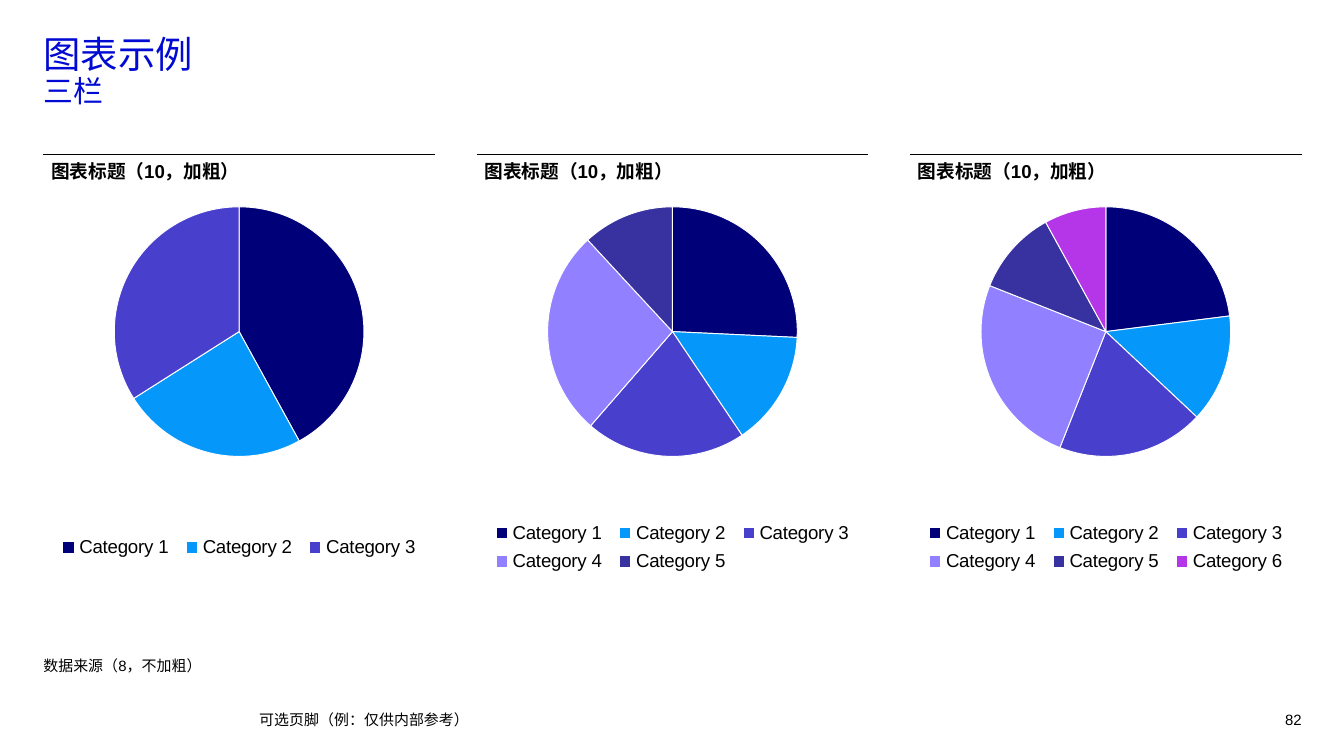
"""Build a slide with three captioned pie charts in equal columns."""
from dataclasses import dataclass

from lxml.etree import SubElement
from pptx import Presentation
from pptx.chart.data import CategoryChartData
from pptx.dml.color import RGBColor
from pptx.enum.chart import XL_CHART_TYPE as ChartType, XL_LEGEND_POSITION as LegendPosition
from pptx.enum.shapes import MSO_CONNECTOR as Connector
from pptx.enum.text import MSO_ANCHOR as Anchor, PP_ALIGN as Align
from pptx.oxml.ns import qn
from pptx.util import Cm, Pt


@dataclass(frozen=True)
class Theme:
    font: str = "Arial"
    title_font: str = "Noto Sans CJK SC"
    ink: str = "000000"
    title: str = "000AD2"
    slice_edge: str = "FFFFFF"
    slices: tuple = ("000078", "0598FA", "483FCD", "9180FF", "3831A0", "B436E8")
    title_size: float = 20
    subtitle_size: float = 16
    body_size: float = 10
    small_size: float = 8


THEME = Theme()
MARGIN, COLUMN_WIDTH, COLUMN_PITCH = 0.82, 7.4, 8.19
CONTENT_WIDTH = 23.78
RULE_TOP = 2.92
PIE_AREA = {"x": 0.18, "y": 0.12, "w": 0.64, "h": 0.59}
LEGEND_AREA = {"x": 0.02, "y": 0.85, "w": 0.96, "h": 0.15}
SHARES = ((42, 24, 34), (26, 15, 21, 27, 12), (23, 14, 19, 25, 11, 8))


def style_font(font, size, color=THEME.ink, name=THEME.font, bold=False):
    font.name, font.size, font.bold = name, Pt(size), bold
    font.color.rgb = RGBColor.from_string(color)


def add_text_frame(slide, left, top, width, height, anchor=Anchor.TOP):
    frame = slide.shapes.add_textbox(Cm(left), Cm(top), Cm(width), Cm(height)).text_frame
    frame.word_wrap = True
    frame.vertical_anchor = anchor
    frame.margin_left = frame.margin_top = frame.margin_right = frame.margin_bottom = 0
    return frame


def add_text(slide, text, box, size=THEME.small_size, bold=False,
             anchor=Anchor.MIDDLE, align=Align.LEFT, spacing=1.0):
    paragraph = add_text_frame(slide, *box, anchor).paragraphs[0]
    paragraph.text = text
    paragraph.alignment, paragraph.line_spacing = align, spacing
    style_font(paragraph.font, size, bold=bold)


def add_title(slide, title, subtitle):
    heading = add_text_frame(slide, MARGIN, 0.69, CONTENT_WIDTH, 1.83).paragraphs[0]
    heading.line_spacing = 0.9
    title_run = heading.add_run()
    title_run.text = title
    heading.add_line_break()
    subtitle_run = heading.add_run()
    subtitle_run.text = subtitle
    for run, size in ((title_run, THEME.title_size), (subtitle_run, THEME.subtitle_size)):
        style_font(run.font, size, THEME.title, THEME.title_font)


def add_rule(slide, left):
    rule = slide.shapes.add_connector(
        Connector.STRAIGHT, Cm(left), Cm(RULE_TOP), Cm(left + COLUMN_WIDTH), Cm(RULE_TOP))
    rule.line.width = Pt(0.75)
    rule.line.color.rgb = RGBColor.from_string(THEME.ink)
    SubElement(rule._element.spPr, qn("a:effectLst"))


def place_chart_part(part, index, area, inner=False):
    for old_layout in part.findall(qn("c:layout")):
        part.remove(old_layout)
    layout = SubElement(part, qn("c:layout"))
    part.insert(index, layout)
    manual = SubElement(layout, qn("c:manualLayout"))
    settings = {"layoutTarget": "inner"} if inner else {}
    settings |= {"xMode": "edge", "yMode": "edge"} | area
    for tag, value in settings.items():
        SubElement(manual, qn(f"c:{tag}")).set("val", str(value))


def add_pie(slide, left, shares):
    shares_data = CategoryChartData()
    shares_data.categories = [f"Category {number}" for number in range(1, len(shares) + 1)]
    shares_data.add_series("Series 1", shares)
    pie = slide.shapes.add_chart(
        ChartType.PIE, Cm(left), Cm(2.95), Cm(COLUMN_WIDTH), Cm(8), shares_data).chart
    pie.has_title = False
    style_font(pie.font, THEME.body_size)
    pie.has_legend = True
    legend = pie.legend
    legend.position = LegendPosition.RIGHT
    legend.include_in_layout = False
    style_font(legend.font, THEME.body_size)
    place_chart_part(legend._element, 1, LEGEND_AREA)
    place_chart_part(pie._chartSpace.chart.plotArea, 0, PIE_AREA, inner=True)
    plot = pie.plots[0]
    plot.vary_by_categories = True
    for index, color in enumerate(THEME.slices[:len(shares)]):
        wedge = plot.series[0].points[index].format
        wedge.fill.solid()
        wedge.fill.fore_color.rgb = RGBColor.from_string(color)
        wedge.line.width = Pt(0.5)
        wedge.line.color.rgb = RGBColor.from_string(THEME.slice_edge)


def main():
    deck = Presentation()
    deck.slide_width, deck.slide_height = Cm(25.4), Cm(14.29)
    slide = deck.slides.add_slide(deck.slide_layouts[6])
    add_title(slide, "图表示例", "三栏")
    for column, shares in enumerate(SHARES):
        left = MARGIN + column * COLUMN_PITCH
        add_rule(slide, left)
        add_pie(slide, left, shares)
        add_text(slide, "图表标题（10，加粗）", (left + 0.15, 3.02, 7.24, 0.43),
                 THEME.body_size, bold=True, anchor=Anchor.TOP)
    add_text(slide, "数据来源（8，不加粗）", (MARGIN, 11.4, CONTENT_WIDTH, 1.35),
             anchor=Anchor.BOTTOM, spacing=1.1)
    add_text(slide, "可选页脚（例：仅供内部参考）", (4.9, 13.41, 16.4, 0.38))
    add_text(slide, "82", (23.62, 13.41, 0.98, 0.38), align=Align.RIGHT)
    deck.save("out.pptx")


if __name__ == "__main__":
    main()
